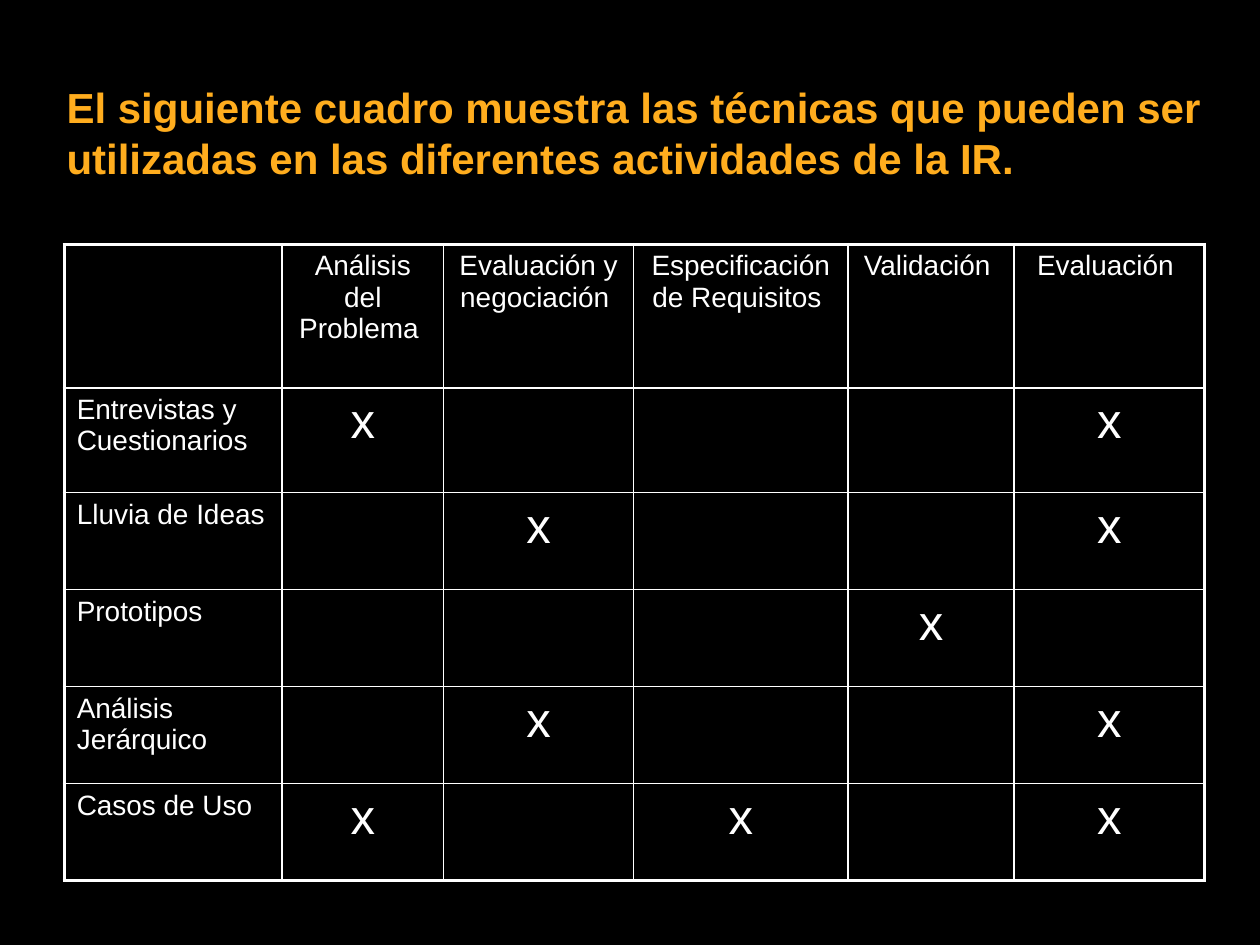
from dataclasses import dataclass

from lxml import etree
from pptx import Presentation
from pptx.dml.color import RGBColor
from pptx.enum.text import MSO_ANCHOR, PP_ALIGN
from pptx.oxml.ns import qn
from pptx.util import Inches, Pt

BOTTOM = MSO_ANCHOR.BOTTOM
LEFT, CENTER = PP_ALIGN.LEFT, PP_ALIGN.CENTER
SLIDE_WIDTH, SLIDE_HEIGHT = 10, 7.5
GRID_COLUMNS, GRID_ROWS = 100, 75

TITLE = (
    "El siguiente cuadro muestra las técnicas que pueden ser "
    "utilizadas en las diferentes actividades de la IR."
)
ACTIVITIES = [
    "Análisis del Problema ",
    "Evaluación y negociación ",
    "Especificación de Requisitos ",
    "Validación ",
    "Evaluación ",
]
TECHNIQUES = {
    "Entrevistas y Cuestionarios": "x...x",
    "Lluvia de Ideas": ".x..x",
    "Prototipos": "...x.",
    "Análisis Jerárquico": ".x..x",
    "Casos de Uso": "x.x.x",
}
COLUMN_WIDTHS = [17.3, 12.8, 15.1, 17, 13.2, 15.1]
ROW_HEIGHTS = [11.4, 8.3] + [7.7] * 4


@dataclass(frozen=True)
class Theme:
    font: str = "Arial"
    background: str = "000000"
    title: str = "FFAD1E"
    text: str = "FFFFFF"
    border: str = "FFFFFF"
    title_size: float = 24
    label_size: float = 16
    mark_size: float = 28
    inner_border: float = 1
    outer_border: float = 2.25


def across(columns):
    return Inches(columns * SLIDE_WIDTH / GRID_COLUMNS)


def down(rows):
    return Inches(rows * SLIDE_HEIGHT / GRID_ROWS)


def write_text(frame, text, *, font, size, color, bold=False, align=LEFT, before=0):
    paragraph = frame.paragraphs[0]
    paragraph.alignment = align
    if before:
        properties = paragraph._p.get_or_add_pPr()
        spacing = etree.SubElement(properties, qn("a:spcBef"))
        etree.SubElement(spacing, qn("a:spcPct"), val=str(before * 1000))
    run = paragraph.add_run()
    run.text = text
    run.font.name = font
    run.font.size = Pt(size)
    run.font.bold = bold
    run.font.color.rgb = RGBColor.from_string(color)


class SlideBuilder:
    def __init__(self, slide, theme):
        self.slide = slide
        self.theme = theme

    def background(self):
        fill = self.slide.background.fill
        fill.solid()
        fill.fore_color.rgb = RGBColor.from_string(self.theme.background)

    def title(self, text, left, top, width, height):
        shape = self.slide.shapes.add_textbox(
            across(left), down(top), across(width), down(height)
        )
        frame = shape.text_frame
        frame.word_wrap = True
        frame.vertical_anchor = BOTTOM
        write_text(frame, text, font=self.theme.font, size=self.theme.title_size,
                   color=self.theme.title, bold=True)

    def borders(self, cell, outer_sides):
        properties = cell._tc.get_or_add_tcPr()
        for side, outer in zip("LRTB", outer_sides):
            width = self.theme.outer_border if outer else self.theme.inner_border
            line = etree.SubElement(properties, qn(f"a:ln{side}"), w=str(Pt(width)))
            fill = etree.SubElement(line, qn("a:solidFill"))
            etree.SubElement(fill, qn("a:srgbClr"), val=self.theme.border)

    def table(self, rows, left, top, widths, heights):
        frame = self.slide.shapes.add_table(
            len(heights), len(widths), across(left), down(top),
            across(sum(widths)), down(sum(heights)),
        )
        table = frame.table
        table.first_row = table.horz_banding = False
        for column, width in zip(table.columns, widths):
            column.width = across(width)
        for row, height in zip(table.rows, heights):
            row.height = down(height)
        last_row, last_column = len(heights) - 1, len(widths) - 1
        for i, texts in enumerate(rows):
            for j, text in enumerate(texts):
                cell = table.cell(i, j)
                self.borders(cell, (j == 0, j == last_column, i == 0, i == last_row))
                cell.fill.background()
                if text:
                    is_mark = i > 0 and j > 0
                    size = self.theme.mark_size if is_mark else self.theme.label_size
                    write_text(cell.text_frame, text, font=self.theme.font, size=size,
                               color=self.theme.text, align=CENTER if j else LEFT,
                               before=20)


def main():
    presentation = Presentation()
    presentation.slide_width = Inches(SLIDE_WIDTH)
    presentation.slide_height = Inches(SLIDE_HEIGHT)
    slide = presentation.slides.add_slide(presentation.slide_layouts[6])
    builder = SlideBuilder(slide, Theme())
    builder.background()
    builder.title(TITLE, 4.3, 6, 92.2, 9)
    rows = [["", *ACTIVITIES]]
    for technique, marks in TECHNIQUES.items():
        rows.append([technique, *(mark.strip(".") for mark in marks)])
    builder.table(rows, 5.1, 19.4, COLUMN_WIDTHS, ROW_HEIGHTS)
    presentation.save("out.pptx")


if __name__ == "__main__":
    main()
